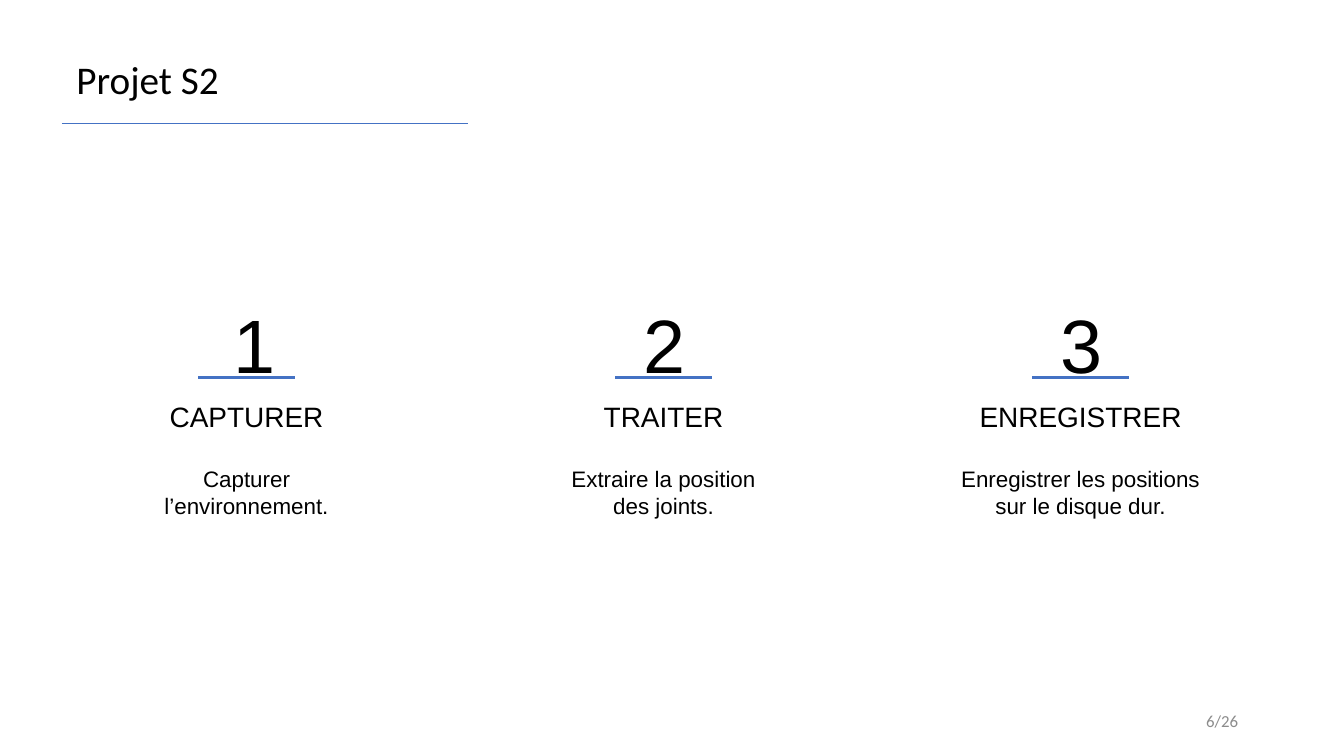
"""Build the "Projet S2" slide: three numbered steps on a 100-column grid."""
from dataclasses import dataclass
from typing import Any, NamedTuple

from lxml import etree
from pptx import Presentation
from pptx import util as u
from pptx.dml import color
from pptx.enum import shapes, text
from pptx.oxml import ns


@dataclass(frozen=True)
class Theme:
    ink: str = "000000"
    accent: str = "4472C4"
    muted: str = "8C8C8C"
    body_font: str = "Arial"
    title_font: str = "Calibri"
    numeral: float = 40.5
    title: float = 21
    heading: float = 15
    detail: float = 12
    page: float = 9
    thick: float = 1.5
    thin: float = 0.75


class Style(NamedTuple):
    size: float
    font: str
    ink: str
    align: text.PP_ALIGN = text.PP_ALIGN.LEFT


class Area(NamedTuple):
    col: float
    row: float
    cols: float
    rows: float


class Step(NamedTuple):
    numeral: str
    numeral_cols: float
    heading: str
    detail: str


THEME = Theme()
CELL = u.Inches(0.1)
COLS, ROWS = 100, 56.25
FIRST_CENTER, PITCH = 18.35, 31.03
STEP_COLS, RULE_COLS = 35.3, 7.2
NUMERAL = Style(THEME.numeral, THEME.body_font, THEME.ink)
HEADING = Style(THEME.heading, THEME.body_font, THEME.ink, text.PP_ALIGN.CENTER)
DETAIL = Style(THEME.detail, THEME.body_font, THEME.ink, text.PP_ALIGN.CENTER)
TITLE = Style(THEME.title, THEME.title_font, THEME.ink)
PAGE = Style(THEME.page, THEME.title_font, THEME.muted, text.PP_ALIGN.RIGHT)
STEPS = [
    Step("1", 3.9, "CAPTURER", "Capturer\nl’environnement."),
    Step("2", 4.9, "TRAITER", "Extraire la position\ndes joints."),
    Step("3", 5, "ENREGISTRER", "Enregistrer les positions\nsur le disque dur."),
]


def cells(count: float) -> int:
    """Convert a number of grid cells to a length."""
    return round(count * CELL)


def centered(center: float, row: float, cols: float, rows: float) -> Area:
    """Return an area centred on a grid column."""
    return Area(center - cols / 2, row, cols, rows)


def add_label(parent: Any, words: str, area: Area, style: Style, wrap: bool = True) -> Any:
    """Add styled text and return its frame."""
    frame = parent.add_textbox(*map(cells, area)).text_frame
    frame.word_wrap = wrap
    frame.text = words
    for paragraph in frame.paragraphs:
        paragraph.alignment = style.align
        for run in paragraph.runs:
            run.font.size = u.Pt(style.size)
            run.font.name = style.font
            run.font.color.rgb = color.RGBColor.from_string(style.ink)
    return frame


def add_rule(parent: Any, col: float, row: float, cols: float, weight: float) -> None:
    """Add a horizontal accent line without a shadow."""
    rule = parent.add_connector(
        shapes.MSO_CONNECTOR.STRAIGHT, cells(col), cells(row), cells(col + cols), cells(row)
    )
    rule.line.color.rgb = color.RGBColor.from_string(THEME.accent)
    rule.line.width = u.Pt(weight)
    etree.SubElement(rule._element.spPr, ns.qn("a:effectLst"))


def add_step(parent: Any, step: Step, center: float) -> None:
    """Add one grouped step around its centre column."""
    group = parent.add_group_shape().shapes
    fit = text.MSO_AUTO_SIZE.SHAPE_TO_FIT_TEXT
    numeral_area = centered(center, 21.7, step.numeral_cols, 7.8)
    add_label(group, step.numeral, numeral_area, NUMERAL, wrap=False).auto_size = fit
    add_rule(group, center - RULE_COLS / 2, 28.1, RULE_COLS, THEME.thick)
    add_label(group, step.heading, centered(center, 29.2, STEP_COLS, 3.5), HEADING).auto_size = fit
    add_label(group, step.detail, centered(center, 34.1, STEP_COLS, 5), DETAIL).auto_size = fit


def main() -> None:
    """Build and save the slide."""
    deck = Presentation()
    deck.slide_width, deck.slide_height = cells(COLS), cells(ROWS)
    canvas = deck.slides.add_slide(deck.slide_layouts[6]).shapes
    for index, step in enumerate(STEPS):
        add_step(canvas, step, FIRST_CENTER + index * PITCH)

    page = add_label(canvas, "6/26", Area(70.6, 52.1, 22.5, 3), PAGE)
    page.vertical_anchor = text.MSO_ANCHOR.MIDDLE
    title = add_label(canvas, "Projet S2", Area(4.7, 3.5, 37.6, 5.1), TITLE)
    title.margin_top = title.margin_bottom = CELL
    title.paragraphs[0].line_spacing = 0.9
    add_rule(canvas, 4.6, 9.2, 30.2, THEME.thin)
    deck.save("out.pptx")


if __name__ == "__main__":
    main()
